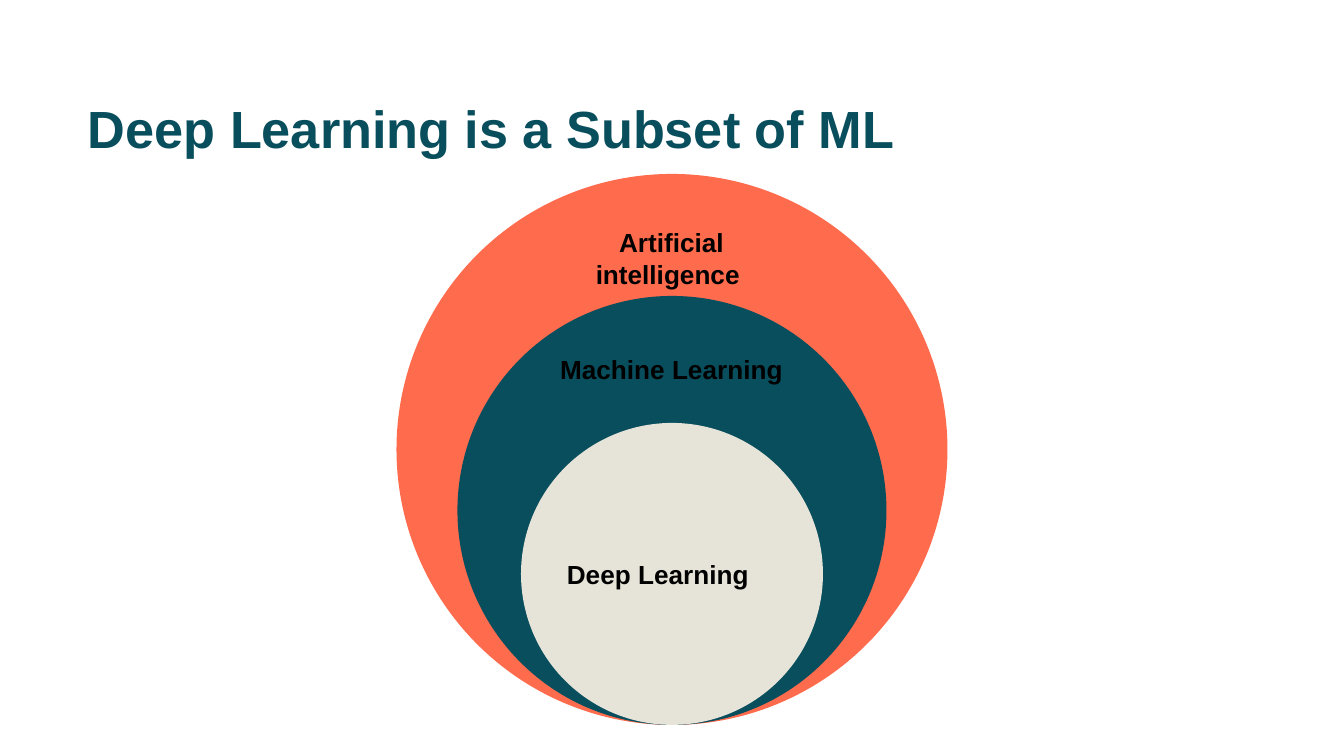
from pptx import Presentation
from pptx.dml.color import RGBColor as Rgb
from pptx.enum.shapes import MSO_SHAPE as Shape
from pptx.enum.text import MSO_ANCHOR as Anchor, MSO_AUTO_SIZE as Auto, PP_ALIGN as Align
from pptx.util import Pt

TITLE = "Deep Learning is a Subset of ML"
RINGS = [("coral", 551), ("teal", 429), ("sand", 302)]
LABELS = [
    ("Artificial intelligence ", 546, 220),
    ("Machine Learning ", 546, 347),
    ("Deep Learning ", 536, 552),
]
COLORS = {"coral": "FF6B4D", "teal": "094E5D", "sand": "E6E4D9", "black": "000000"}
WIDE, HIGH = 1344, 756
BASE = 725
LABEL = (251, 46)


def px(n):
    return round(n * 914400 / 134.4)


def color(name):
    return Rgb.from_string(COLORS[name])


def style(par, size, tone, align):
    par.alignment = align
    for key, val in {"name": "Arial", "size": Pt(size), "bold": True}.items():
        setattr(par.font, key, val)
    par.font.color.rgb = color(tone)


deck = Presentation()
deck.slide_width, deck.slide_height = px(WIDE), px(HIGH)
slide = deck.slides.add_slide(deck.slide_layouts[5])

title = slide.shapes.title
for key, val in {"left": 81, "top": 93, "width": 1164, "height": 70}.items():
    setattr(title, key, px(val))
frame = title.text_frame
for key, val in {"left": 7, "right": 7, "top": 4, "bottom": 4}.items():
    setattr(frame, "margin_" + key, px(val))
frame.text = TITLE
frame.vertical_anchor = Anchor.MIDDLE
frame.auto_size = Auto.NONE
style(frame.paragraphs[0], 28, "teal", Align.LEFT)

group = slide.shapes.add_group_shape()
for tone, size in RINGS:
    box = [px(n) for n in ((WIDE - size) / 2, BASE - size, size, size)]
    ring = group.shapes.add_shape(Shape.OVAL, *box)
    ring.shadow.inherit = False
    ring.fill.solid()
    ring.fill.fore_color.rgb = color(tone)
    ring.line.fill.background()

for text, left, top in LABELS:
    label = group.shapes.add_textbox(*[px(n) for n in (left, top, *LABEL)])
    frame = label.text_frame
    frame.word_wrap = True
    frame.auto_size = Auto.SHAPE_TO_FIT_TEXT
    frame.text = text
    style(frame.paragraphs[0], 14, "black", Align.CENTER)

deck.save("out.pptx")
